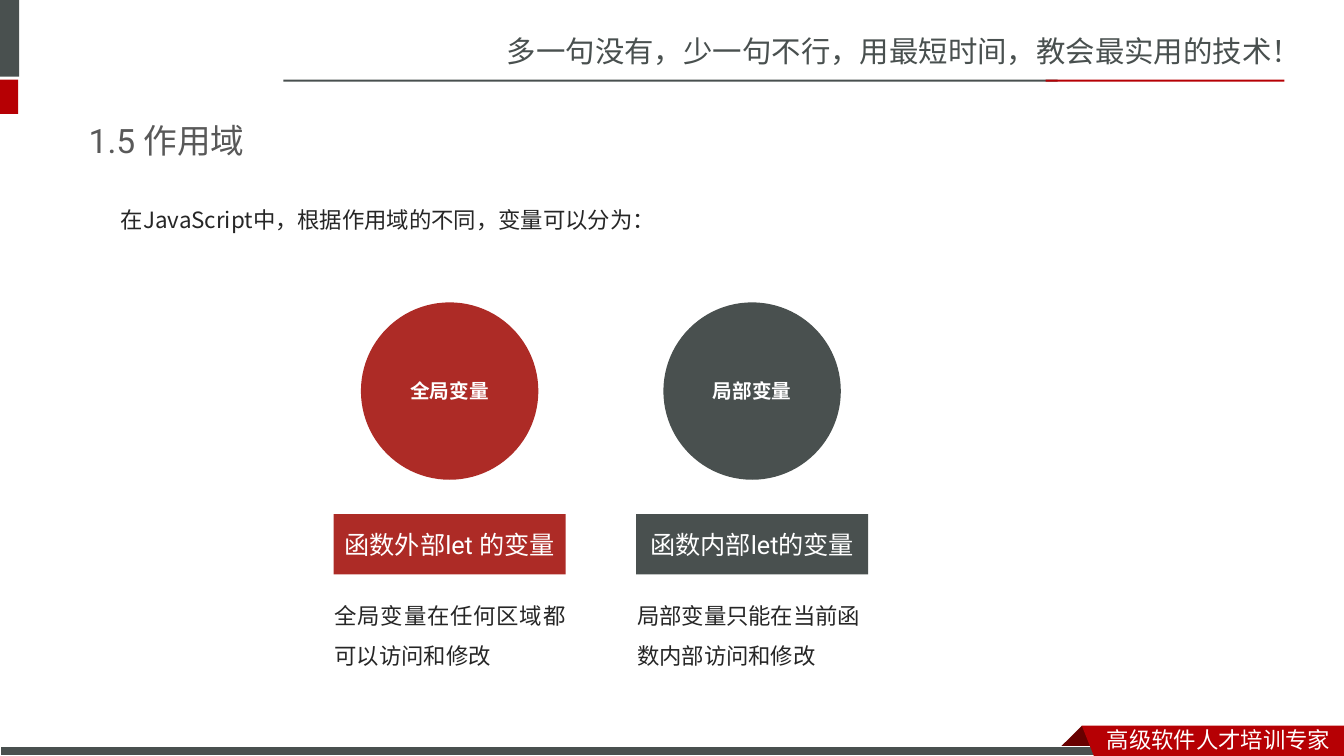
"""Build the slide on variable scope."""
from dataclasses import dataclass

from lxml import etree
from pptx import Presentation
from pptx.dml.color import RGBColor
from pptx.enum import shapes, text
from pptx.oxml import ns
from pptx.util import Inches, Pt

GREY = RGBColor(0x49, 0x50, 0x4F)
RED = RGBColor(0xB6, 0x00, 0x04)
BRICK = RGBColor(0xAD, 0x2B, 0x26)
MAROON = RGBColor(0x68, 0x00, 0x00)
WHITE = RGBColor(0xFF, 0xFF, 0xFF)
INK = RGBColor(0x26, 0x26, 0x26)
SLATE = RGBColor(0x59, 0x59, 0x59)
LATIN, HAN, HAN_JP = "Roboto", "Noto Sans CJK SC", "Noto Sans CJK JP"
RECT, OVAL = shapes.MSO_SHAPE.RECTANGLE, shapes.MSO_SHAPE.OVAL
LEFT, CENTER, FULL = text.PP_ALIGN.LEFT, text.PP_ALIGN.CENTER, text.PP_ALIGN.JUSTIFY
TOP, MIDDLE = text.MSO_ANCHOR.TOP, text.MSO_ANCHOR.MIDDLE

Box = tuple[float, float, float, float]


@dataclass
class Style:
    size: float
    color: RGBColor
    font: str = LATIN
    bold: bool = False
    align: int = LEFT
    anchor: int = TOP
    lines: float = 1.0
    before: float = 0


@dataclass
class Scope:
    mid: float
    color: RGBColor
    name: str
    place: str
    note: str
    align: int


BARS = [
    ((0, 0, 0.19, 0.76), GREY),
    ((0, 0.79, 0.18, 0.34), RED),
    ((2.81, 0.79, 7.68, 0.02), GREY),
    ((10.37, 0.79, 2.37, 0.02), RED),
]
FOLD = [(10.73, 7.2), (10.95, 7.42), (10.94, 7.43), (10.52, 7.43), (10.51, 7.42)]
RIBBON = [(10.73, 7.2), (13.33, 7.2), (13.33, 7.5), (10.85, 7.5)]
SCOPES = [
    Scope(4.46, BRICK, "全局变量", "函数外部let 的变量",
          "全局变量在任何区域都可以访问和修改", FULL),
    Scope(7.46, GREY, "局部变量", "函数内部let的变量",
          "局部变量只能在当前函数内部访问和修改", LEFT),
]
NAME = Style(14, WHITE, bold=True, align=CENTER, anchor=MIDDLE)
PLACE = Style(18, WHITE, align=CENTER, anchor=MIDDLE)


def write(shape, words: str, style: Style) -> None:
    """Put one styled run of text into a shape."""
    frame = shape.text_frame
    frame.word_wrap = True
    frame.auto_size = text.MSO_AUTO_SIZE.NONE
    frame.vertical_anchor = style.anchor
    para = frame.paragraphs[0]
    para.alignment = style.align
    para.line_spacing = style.lines
    para.space_before = Pt(style.before)
    run = para.add_run()
    run.text = words
    font = run.font
    font.size, font.bold, font.name = Pt(style.size), style.bold, style.font
    font.color.rgb = style.color
    han = HAN if style.font == LATIN else style.font
    etree.SubElement(font._element, ns.qn("a:ea"), typeface=han)


def paint(shape, color: RGBColor) -> None:
    """Give a shape a plain fill with no line or shadow."""
    shape.shadow.inherit = False
    shape.fill.solid()
    shape.fill.fore_color.rgb = color
    shape.line.fill.background()


def add_block(slide, kind: int, box: Box, color: RGBColor):
    """Add a filled preset shape."""
    shape = slide.shapes.add_shape(kind, *map(Inches, box))
    paint(shape, color)
    return shape


def add_patch(slide, points: list[tuple[float, float]], color: RGBColor) -> None:
    """Add a filled outline through the points."""
    start, *rest = [(Inches(x), Inches(y)) for x, y in points]
    pen = slide.shapes.build_freeform(*start)
    pen.add_line_segments(rest, close=True)
    paint(pen.convert_to_shape(), color)


def add_text(slide, box: Box, words: str, style: Style) -> None:
    """Add a text box."""
    write(slide.shapes.add_textbox(*map(Inches, box)), words, style)


def fill_holder(holder, box: Box, words: str, style: Style) -> None:
    """Move a placeholder and write its text without a bullet."""
    holder.left, holder.top, holder.width, holder.height = map(Inches, box)
    write(holder, words, style)
    props = holder.text_frame.paragraphs[0]._p.get_or_add_pPr()
    props.set("marL", "0")
    props.set("indent", "0")
    etree.SubElement(props, ns.qn("a:buNone"))


def add_frame(slide) -> None:
    """Draw the header and footer bands."""
    for box, color in BARS:
        add_block(slide, RECT, box, color)
    add_text(slide, (4.93, 0.28, 8.4, 0.47),
             "多一句没有，少一句不行，用最短时间，教会最实用的技术！", Style(21, GREY, HAN))
    add_patch(slide, FOLD, MAROON)
    base = add_block(slide, RECT, (0, 7.41, 10.99, 0.09), GREY)
    base.line.color.rgb = WHITE
    base.line.width = Pt(0.75)
    add_patch(slide, RIBBON, RED)
    add_text(slide, (10.88, 7.15, 2.45, 0.35), "高级软件人才培训专家", Style(16, WHITE, HAN))


def add_scope(slide, scope: Scope) -> None:
    """Draw one column: circle, label and note."""
    disc = add_block(slide, OVAL, (scope.mid - 0.88, 3, 1.76, 1.76), scope.color)
    write(disc, scope.name, NAME)
    label = add_block(slide, RECT, (scope.mid - 1.15, 5.1, 2.3, 0.6), scope.color)
    label.text_frame.margin_left = label.text_frame.margin_right = 0
    write(label, scope.place, PLACE)
    add_text(slide, (scope.mid - 1.24, 5.79, 2.49, 0.9), scope.note,
             Style(16, INK, align=scope.align, lines=1.5))


def main() -> None:
    """Build and save the deck."""
    deck = Presentation()
    deck.slide_width, deck.slide_height = Inches(13.33), Inches(7.5)
    slide = deck.slides.add_slide(deck.slide_layouts[1])
    title, body = slide.placeholders
    fill_holder(title, (0.78, 1.1, 11.75, 0.57), "1.5 作用域",
                Style(24, SLATE, anchor=MIDDLE))
    fill_holder(body, (1.1, 1.86, 9.64, 4.44),
                "在JavaScript中，根据作用域的不同，变量可以分为：",
                Style(16, INK, HAN_JP, lines=1.5, before=7.5))
    add_frame(slide)
    for scope in SCOPES:
        add_scope(slide, scope)
    deck.save("out.pptx")


if __name__ == "__main__":
    main()
